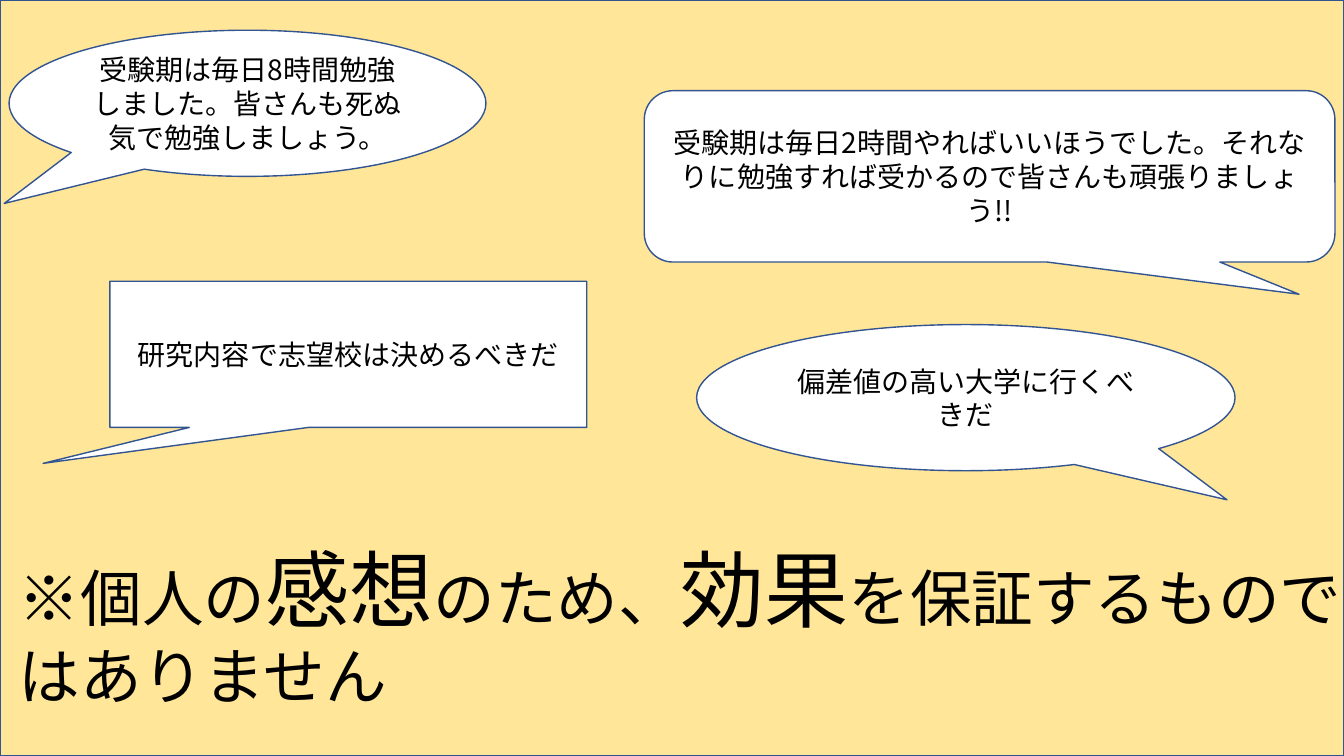
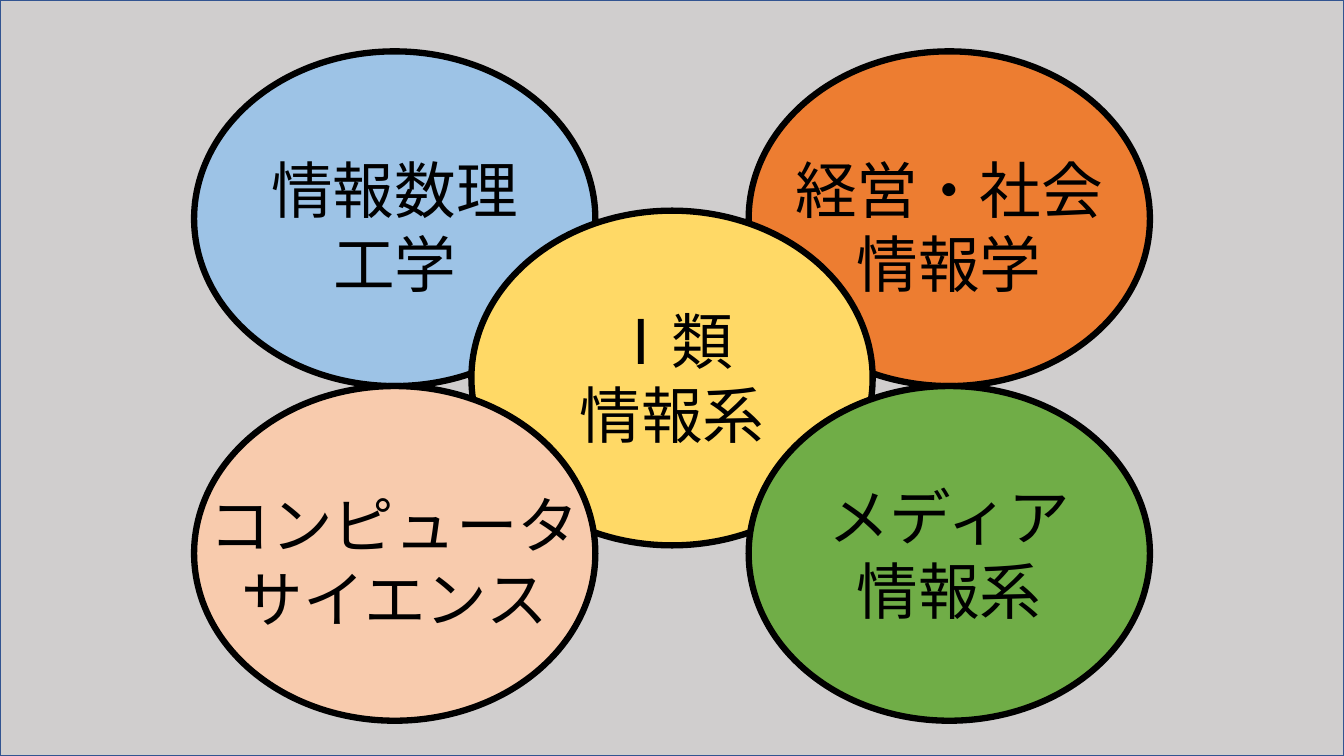
from pptx import Presentation
from pptx.dml.color import RGBColor
from pptx.enum.lang import MSO_LANGUAGE_ID as Lang
from pptx.enum.shapes import MSO_SHAPE as Kind
from pptx.enum.text import MSO_ANCHOR as Anchor, PP_ALIGN as Align
from pptx.oxml.ns import qn
from pptx.util import Inches, Pt
from lxml.etree import SubElement

WIDE, HIGH = 13.33, 7.5
FONT = "Noto Sans CJK JP"
BLACK, WHITE, BLUE = "000000", "FFFFFF", "325491"
SAND, GREY = "FFE699", "D0CECE"

# Ovals: three columns and three rows, centred on the slide
OVAL_W, OVAL_H, STEP = 3.98, 3.32, 2.75
COLS = [(WIDE - OVAL_W) / 2 + STEP * i for i in (-1, 0, 1)]
TOP = 0.51
ROWS = [TOP, (HIGH - OVAL_H) / 2, TOP + OVAL_H]
LABEL_H = 1.58


def paint(target, color):
    """Fill a shape, or colour a font, with a hex string."""
    fill = target.fill
    fill.solid()
    fill.fore_color.rgb = RGBColor.from_string(color)


def box(at):
    return [Inches(n) for n in at]


def write(frame, text, size=20, align=Align.CENTER, anchor=Anchor.MIDDLE):
    """Each line is a paragraph: a string, or a list of (string, size) runs."""
    frame.word_wrap = True
    frame.vertical_anchor = anchor
    lines = text if isinstance(text, list) else [text]
    for i, line in enumerate(lines):
        para = frame.paragraphs[0] if i == 0 else frame.add_paragraph()
        para.alignment = align
        runs = [(line, size)] if isinstance(line, str) else line
        for words, points in runs:
            run = para.add_run()
            run.text = words
            font = run.font
            font.size = Pt(points)
            font.language_id = Lang.JAPANESE
            paint(font, BLACK)
            font.name = FONT
            SubElement(font._element, qn("a:ea"), typeface=FONT)


def shape(slide, kind, at, fill, line=BLUE, width=1, adj=()):
    item = slide.shapes.add_shape(kind, *box(at))
    item.shadow.inherit = False
    paint(item, fill)
    item.line.color.rgb = RGBColor.from_string(line)
    item.line.width = Pt(width)
    for i, value in enumerate(adj):
        item.adjustments[i] = value
    return item


def label(slide, at, text, **style):
    frame = slide.shapes.add_textbox(*box(at)).text_frame
    write(frame, text, anchor=Anchor.TOP, **style)


def page(deck, color):
    """Add a blank slide with a full-size backdrop."""
    slide = deck.slides.add_slide(deck.slide_layouts[6])
    shape(slide, Kind.RECTANGLE, (0, 0, WIDE, HIGH), color)
    return slide


def voices(deck):
    slide = page(deck, SAND)
    note = [("※個人の", 44), ("感想", 60), ("のため、", 44),
            ("効果", 60), ("を保証するものではありません", 44)]
    label(slide, (0.09, 5.28, WIDE, 1.92), [note], align=Align.LEFT)
    bubbles = [
        (Kind.OVAL_CALLOUT, (0.09, 0.3, 4.73, 1.45), (-0.51, 0.685),
         "受験期は毎日8時間勉強しました。皆さんも死ぬ気で勉強しましょう。"),
        (Kind.ROUNDED_RECTANGULAR_CALLOUT, (6.39, 0.9, 6.85, 1.7),
         (0.448, 0.688, 0.167),
         "受験期は毎日2時間やればいいほうでした。"
         "それなりに勉強すれば受かるので皆さんも頑張りましょう!!"),
        (Kind.RECTANGULAR_CALLOUT, (1.09, 2.79, 4.73, 1.45), (-0.64, 0.746),
         "研究内容で志望校は決めるべきだ"),
        (Kind.OVAL_CALLOUT, (6.91, 3.22, 5.34, 1.45), (0.485, 0.699),
         "偏差値の高い大学に行くべきだ"),
    ]
    for kind, at, adj, text in bubbles:
        bubble = shape(slide, kind, at, WHITE, adj=adj)
        write(bubble.text_frame, text)


def fields(deck):
    slide = page(deck, GREY)
    # column, row, colour, label, label width, label drop from the oval's centre
    ovals = [
        (2, 0, "ED7D31", ["経営・社会", "情報学"], 3.35, 0.08),
        (0, 0, "9DC3E6", ["情報数理", "工学"], 3, 0.08),
        (1, 1, "FFD966", ["Ⅰ類", "情報系"], 3, 0),
        (0, 2, "F8CBAD", "コンピュータサイエンス", 4.24, 0.08),
        (2, 2, "70AD47", ["メディア", "情報系"], 3, 0),
    ]
    for col, row, color, *_ in ovals:
        at = (COLS[col], ROWS[row], OVAL_W, OVAL_H)
        shape(slide, Kind.OVAL, at, color, line=BLACK, width=4.5)
    for col, row, _, text, width, drop in ovals:
        left = COLS[col] + (OVAL_W - width) / 2
        top = ROWS[row] + (OVAL_H - LABEL_H) / 2 + drop
        label(slide, (left, top, width, LABEL_H), text, size=44)


def main():
    deck = Presentation()
    deck.slide_width, deck.slide_height = Inches(WIDE), Inches(HIGH)
    voices(deck)
    fields(deck)
    deck.save("out.pptx")


if __name__ == "__main__":
    main()
